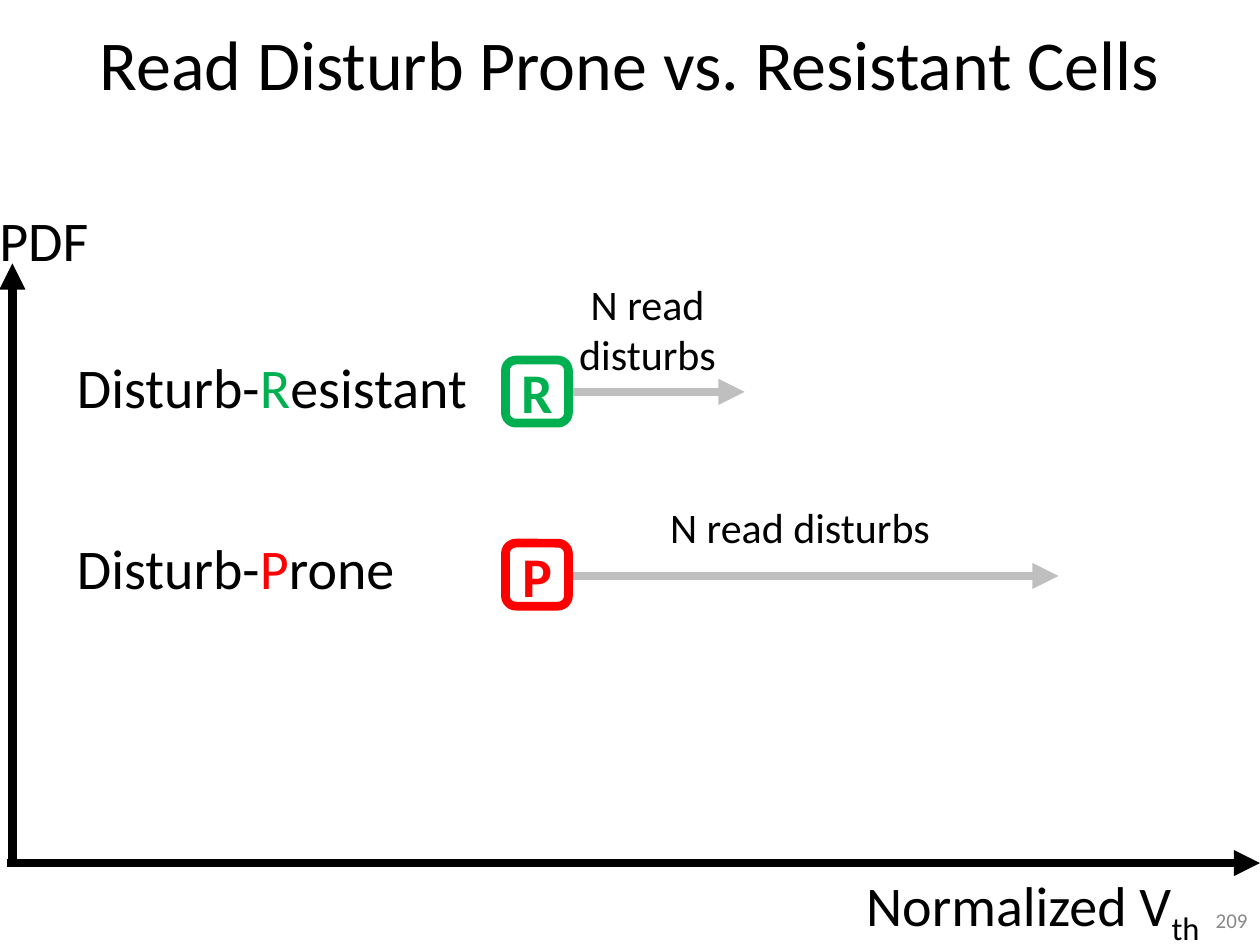
from typing import NamedTuple

from lxml.etree import SubElement
from pptx import Presentation
from pptx.dml.color import RGBColor
from pptx.enum.shapes import MSO_CONNECTOR as Conn, MSO_SHAPE as Shape
from pptx.enum.text import MSO_ANCHOR as Anchor, PP_ALIGN as Align
from pptx.oxml.ns import qn
from pptx.util import Cm, Pt

COLORS = {"black": "000000", "white": "FFFFFF", "gray": "BFBFBF",
          "number": "898989", "green": "00B050", "red": "FF0000"}
LINE_WIDTH = Pt(5)
BADGE_LEFT, BADGE_SIZE = 10.19, 1.27


class Run(NamedTuple):
    text: str
    color: str = "black"
    bold: bool = False
    baseline: int = 0


class Label(NamedTuple):
    box: tuple[float, float, float, float]
    runs: list[Run]
    size: int = 32
    align: Align = Align.CENTER
    anchor: Anchor = Anchor.TOP


class CellRow(NamedTuple):
    letter: str
    rest: str
    color: str
    label_top: float
    label_width: float
    badge_top: float
    arrow_y: float
    arrow_end: float
    note_box: tuple[float, float, float, float]


ROWS = [
    CellRow("R", "esistant", "green", 6.99, 8.97, 7.26, 7.9, 15.01, (10.82, 5.49, 4.47, 2.31)),
    CellRow("P", "rone", "red", 10.64, 7.65, 10.95, 11.61, 21.34, (13.16, 9.98, 5.94, 1.3)),
]


def rgb(name: str) -> RGBColor:
    return RGBColor.from_string(COLORS[name])


def write(tf, runs: list[Run], size: int, align: Align, anchor: Anchor) -> None:
    tf.word_wrap = True
    tf.vertical_anchor = anchor
    p = tf.paragraphs[0]
    p.alignment = align
    for run in runs:
        r = p.add_run()
        r.text = run.text
        for name, value in {"name": "Calibri", "size": Pt(size), "bold": run.bold}.items():
            setattr(r.font, name, value)
        r.font.color.rgb = rgb(run.color)
        if run.baseline:
            r._r.get_or_add_rPr().set("baseline", str(run.baseline * 1000))


def add_label(s, label: Label) -> None:
    box = s.shapes.add_textbox(*map(Cm, label.box))
    write(box.text_frame, label.runs, label.size, label.align, label.anchor)


def add_arrow(s, x1: float, y1: float, x2: float, y2: float, color: str) -> None:
    arrow = s.shapes.add_connector(Conn.STRAIGHT, Cm(x1), Cm(y1), Cm(x2), Cm(y2))
    arrow.line.color.rgb = rgb(color)
    arrow.line.width = LINE_WIDTH
    SubElement(arrow.line._get_or_add_ln(), qn("a:tailEnd"), type="triangle")
    SubElement(arrow._element.spPr, qn("a:effectLst"))


def add_badge(s, row: CellRow) -> None:
    sp = s.shapes.add_shape(Shape.ROUNDED_RECTANGLE, Cm(BADGE_LEFT), Cm(row.badge_top),
                            Cm(BADGE_SIZE), Cm(BADGE_SIZE))
    sp.shadow.inherit = False
    sp.fill.solid()
    sp.fill.fore_color.rgb = rgb("white")
    sp.line.color.rgb = rgb(row.color)
    sp.line.width = LINE_WIDTH
    tf = sp.text_frame
    for side in ("left", "right", "top", "bottom"):
        setattr(tf, f"margin_{side}", 0)
    write(tf, [Run(row.letter, row.color, bold=True)], 32, Align.CENTER, Anchor.MIDDLE)


def add_row(s, row: CellRow) -> None:
    add_label(s, Label((1.3, row.label_top, row.label_width, 1.63),
                       [Run("Disturb-"), Run(row.letter, row.color), Run(row.rest)],
                       align=Align.LEFT))
    add_arrow(s, BADGE_LEFT + BADGE_SIZE, row.arrow_y, row.arrow_end, row.arrow_y, "gray")
    add_label(s, Label(row.note_box, [Run("N read disturbs")], 24))
    add_badge(s, row)


def main() -> None:
    prs = Presentation()
    prs.slide_width, prs.slide_height = Cm(25.4), Cm(19.05)
    s = prs.slides.add_slide(prs.slide_layouts[5])

    # Title and slide number
    title = s.shapes.title
    title.left, title.top, title.width, title.height = map(Cm, (0, 0, 25.4, 2.54))
    write(title.text_frame, [Run("Read Disturb Prone vs. Resistant Cells")],
          40, Align.CENTER, Anchor.MIDDLE)
    add_label(s, Label((19.48, 18.03, 5.92, 1.02), [Run("209", "number")],
                       12, Align.RIGHT, Anchor.MIDDLE))

    # Axes with their names
    add_label(s, Label((16.59, 17.42, 8.46, 1.63),
                       [Run("Normalized V"), Run("th", baseline=-25)]))
    add_label(s, Label((-0.36, 4.01, 2.49, 1.63), [Run("PDF")]))
    add_arrow(s, 0.25, 17.4, 0.25, 5.31, "black")
    add_arrow(s, 0.15, 17.4, 25.4, 17.4, "black")

    # Resistant and prone cells
    for row in ROWS:
        add_row(s, row)

    prs.save("out.pptx")


if __name__ == "__main__":
    main()
